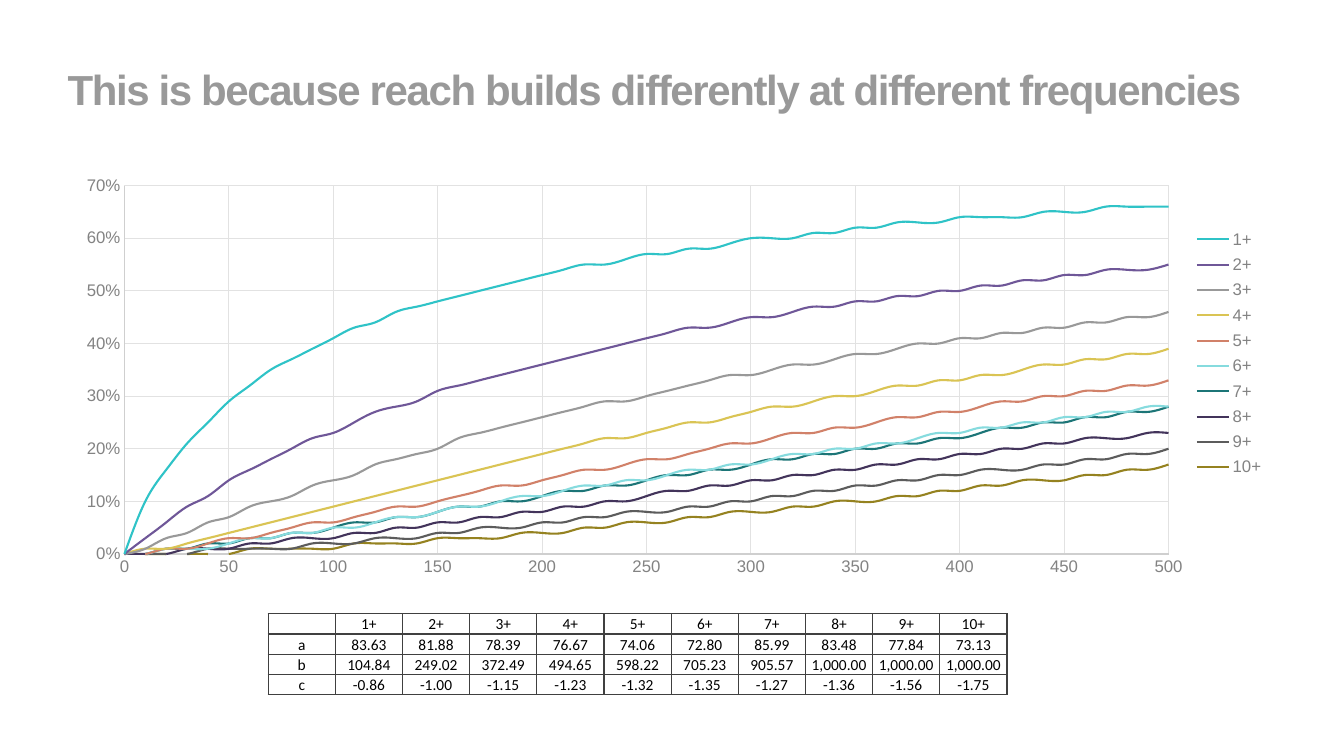
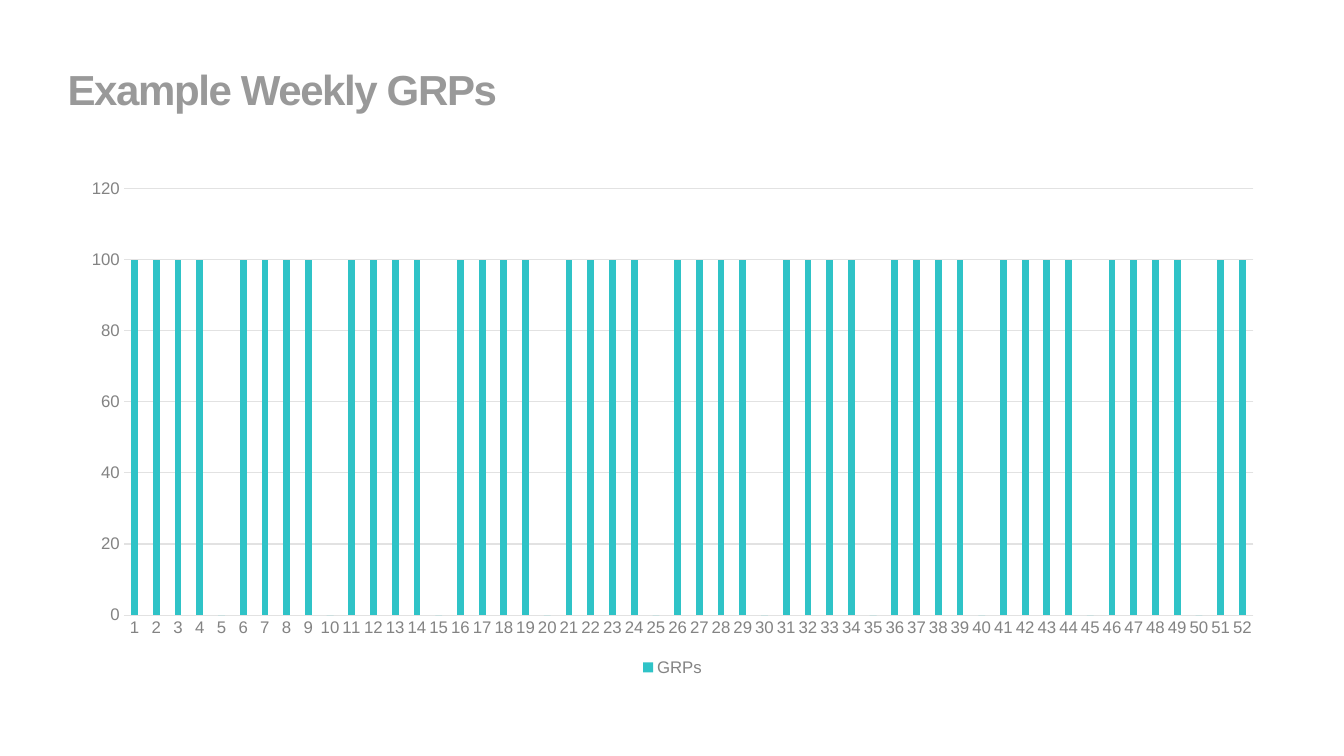
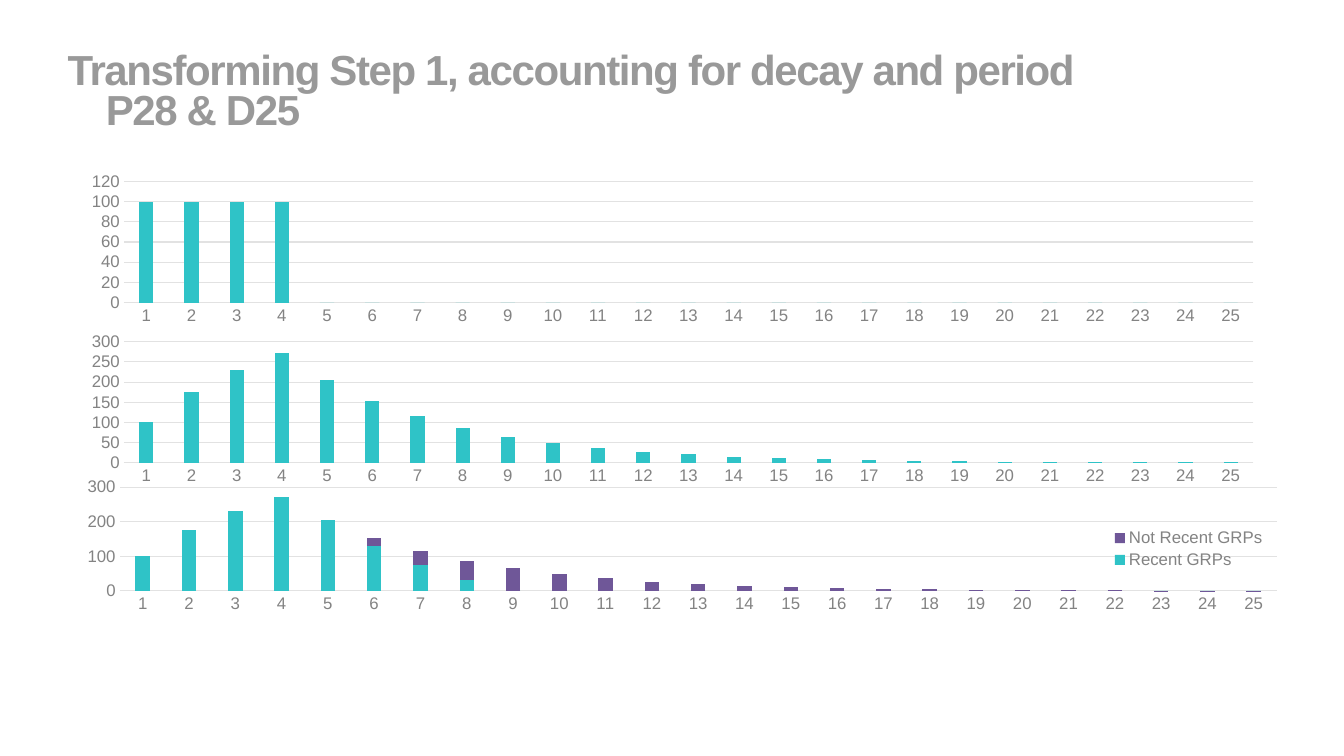
import pptx
import pptx.chart.data
import pptx.dml.color
import pptx.enum.chart
import pptx.enum.text
import pptx.oxml
import pptx.oxml.ns
import pptx.util
from pptx.util import Inches, Pt

KIND = pptx.enum.chart.XL_CHART_TYPE
SIDE = pptx.enum.chart.XL_LEGEND_POSITION
TEAL, PURPLE, GREY, PALE = "2FC3C7", "6F5798", "999999", "E2E2E2"
BODY = (0.67, 1.68, 12, 5.07)

TITLES = [
    "This is because reach builds differently at different frequencies",
    "Example Weekly GRPs",
    "Transforming Step 1, accounting for decay and period\v\tP28 & D25",
]

CURVES = [
    ("1+", "83.63", "104.84", "-0.86", TEAL),
    ("2+", "81.88", "249.02", "-1.00", PURPLE),
    ("3+", "78.39", "372.49", "-1.15", GREY),
    ("4+", "76.67", "494.65", "-1.23", "DAC454"),
    ("5+", "74.06", "598.22", "-1.32", "D18169"),
    ("6+", "72.80", "705.23", "-1.35", "86DBDE"),
    ("7+", "85.99", "905.57", "-1.27", "1C7577"),
    ("8+", "83.48", "1,000.00", "-1.36", "43345B"),
    ("9+", "77.84", "1,000.00", "-1.56", "5C5C5C"),
    ("10+", "73.13", "1,000.00", "-1.75", "958220"),
]

WEEKLY = [0 if week % 5 == 0 else 100 for week in range(1, 53)]
BURST = [100] * 4 + [0] * 21
DECAY = [100, 175, 231, 273, 205, 154, 115, 87, 65, 49, 36, 27, 21,
         15, 12, 9, 6, 5, 4, 3, 2, 2, 1, 1, 1]
RECENT = DECAY[:5] + [130, 74, 32] + [0] * 17
OLDER = [0] * 5 + [24, 42, 55] + DECAY[8:]

STEPS = [
    (1.68, KIND.COLUMN_CLUSTERED, [("Series 1", BURST, TEAL)], 120, 20),
    (3.27, KIND.COLUMN_CLUSTERED, [("Series 1", DECAY, TEAL)], 300, 50),
    (4.67, KIND.COLUMN_STACKED,
     [("Recent GRPs", RECENT, TEAL), ("Not Recent GRPs", OLDER, PURPLE)], 300, 100),
]


def rgb(code):
    return pptx.dml.color.RGBColor.from_string(code)


def style(font, size, color, name="Arial"):
    font.size, font.name = Pt(size), name
    font.color.rgb = rgb(color)


def xml(text):
    head, tail = text.split(">", 1)
    return pptx.oxml.parse_xml(f"{head} {pptx.oxml.ns.nsdecls('a', 'c')}>{tail}")


def new_slide(deck, text):
    slide = deck.slides.add_slide(deck.slide_layouts[5])
    title = slide.shapes.title
    title.left, title.top, title.width, title.height = map(Inches, (0.67, 0.3, 12, 1.25))
    frame = title.text_frame
    frame.auto_size = pptx.enum.text.MSO_AUTO_SIZE.NONE
    frame.vertical_anchor = pptx.enum.text.MSO_ANCHOR.MIDDLE
    frame.margin_left = frame.margin_right = frame.margin_top = frame.margin_bottom = 0
    para = frame.paragraphs[0]
    para.text = text
    para.alignment = pptx.enum.text.PP_ALIGN.LEFT
    para.line_spacing = 0.8
    style(para.font, 30, GREY)
    para.font.bold = True
    look = para._p.get_or_add_pPr().find(pptx.oxml.ns.qn("a:defRPr"))
    look.set("spc", "-100")
    look.addprevious(xml(f'<a:tabLst><a:tab pos="{Inches(0.38)}" algn="l"/></a:tabLst>'))
    return slide


def place(item, box, inner=False):
    for old in item.findall(pptx.oxml.ns.qn("c:layout")):
        item.remove(old)
    target = '<c:layoutTarget val="inner"/>' if inner else ""
    modes = "".join(f'<c:{key}Mode val="edge"/>' for key in "xy")
    sizes = "".join(f'<c:{key} val="{val}"/>' for key, val in zip("xywh", box))
    node = xml(f"<c:layout><c:manualLayout>{target}{modes}{sizes}</c:manualLayout></c:layout>")
    if inner:
        item.insert(0, node)
    else:
        item.find(pptx.oxml.ns.qn("c:legendPos")).addnext(node)


def arrange(chart, plot, legend):
    place(chart._chartSpace.chart.plotArea, plot, True)
    place(chart.legend._element, legend)


def set_axis(axis, line, grid, top=None, step=None, form=None):
    style(axis.tick_labels.font, 12, "838383")
    none = pptx.enum.chart.XL_TICK_MARK.NONE
    axis.major_tick_mark = axis.minor_tick_mark = none
    axis.has_major_gridlines = grid
    lines = [(axis.format.line, line)]
    if grid:
        lines.append((axis.major_gridlines.format.line, PALE))
    for stroke, color in lines:
        if color:
            stroke.color.rgb, stroke.width = rgb(color), Pt(0.75)
        else:
            stroke.fill.background()
    if top:
        axis.minimum_scale, axis.maximum_scale, axis.major_unit = 0, top, step
    if form:
        axis.tick_labels.number_format = form
        axis.tick_labels.number_format_is_linked = False


def new_chart(slide, kind, box, data, side=None):
    chart = slide.shapes.add_chart(kind, *map(Inches, box), data).chart
    style(chart.font, 10, "404040")
    chart.has_title = False
    chart.has_legend = side is not None
    if chart.has_legend:
        chart.legend.position = side
        chart.legend.include_in_layout = False
        style(chart.legend.font, 12, "838383")
    return chart


def columns(slide, kind, box, series, top, step, side=None):
    data = pptx.chart.data.CategoryChartData()
    data.categories = [str(n + 1) for n in range(len(series[0][1]))]
    for name, vals, color in series:
        data.add_series(name, vals)
    chart = new_chart(slide, kind, box, data, side)
    set_axis(chart.category_axis, PALE, False)
    set_axis(chart.value_axis, None, True, top, step, "#,##0")
    plot = chart.plots[0]
    plot.vary_by_categories = False
    plot.gap_width = 219
    plot.overlap = 100 if kind == KIND.COLUMN_STACKED else -27
    for bars, (name, vals, color) in zip(plot.series, series):
        bars.format.fill.solid()
        bars.format.fill.fore_color.rgb = rgb(color)
    return chart


def reach(spend, a, b, c):
    a, b, c = (float(part.replace(",", "")) for part in (a, b, c))
    return round(a / 100 / (1 + (spend / b) ** c), 2) if spend else 0


def reach_chart(slide):
    data = pptx.chart.data.XyChartData(number_format="0%")
    for name, a, b, c, color in CURVES:
        line = data.add_series(name)
        for spend in range(0, 501, 10):
            line.add_data_point(spend, reach(spend, a, b, c))
    chart = new_chart(slide, KIND.XY_SCATTER_SMOOTH_NO_MARKERS, BODY, data, SIDE.RIGHT)
    set_axis(chart.category_axis, "CFCFCF", True, 500, 50, "General")
    set_axis(chart.value_axis, "CFCFCF", True, 0.7, 0.1, "0%")
    chart.plots[0].vary_by_categories = False
    for line, curve in zip(chart.plots[0].series, CURVES):
        line._element.get_or_add_smooth().val = True
        line.format.line.color.rgb = rgb(curve[-1])
        line.format.line.width = Pt(1.5)
    arrange(chart, (0.047, 0.032, 0.863, 0.721), (0.925, 0.105, 0.07, 0.51))


def reach_table(slide):
    rows = list(zip(("", "a", "b", "c"), *(curve[:4] for curve in CURVES)))
    box = map(Inches, (2.66, 6.09, 7.33, 0.8))
    table = slide.shapes.add_table(len(rows), len(rows[0]), *box).table
    table.first_row = table.horz_banding = False
    for row, texts in zip(table.rows, rows):
        row.height = Inches(0.2)
        for cell, text in zip(row.cells, texts):
            cell.margin_left = cell.margin_right = cell.margin_top = Inches(0.01)
            cell.margin_bottom = 0
            cell.vertical_anchor = pptx.enum.text.MSO_ANCHOR.BOTTOM
            para = cell.text_frame.paragraphs[0]
            para.text = text
            para.alignment = pptx.enum.text.PP_ALIGN.CENTER
            style(para.font, 11, "000000", "Calibri")
            props = cell._tc.get_or_add_tcPr()
            for edge in "LRTB":
                props.append(xml(f'<a:ln{edge} w="{Pt(1)}"><a:solidFill>'
                                 f'<a:srgbClr val="404040"/></a:solidFill></a:ln{edge}>'))
            cell.fill.background()


def main():
    deck = pptx.Presentation()
    deck.slide_width, deck.slide_height = Inches(13.33), Inches(7.5)
    curves, weeks, steps = [new_slide(deck, text) for text in TITLES]
    reach_chart(curves)
    reach_table(curves)
    columns(weeks, KIND.COLUMN_CLUSTERED, BODY, [("GRPs", WEEKLY, TEAL)], 120, 20, SIDE.BOTTOM)
    for top, kind, series, high, step in STEPS:
        side = SIDE.RIGHT if len(series) > 1 else None
        chart = columns(steps, kind, (0.67, top, 12, 1.57), series, high, step, side)
        if side:
            arrange(chart, (0.043, 0.104, 0.957, 0.656), (0.857, 0.345, 0.14, 0.3))
    deck.save("out.pptx")


if __name__ == "__main__":
    main()
